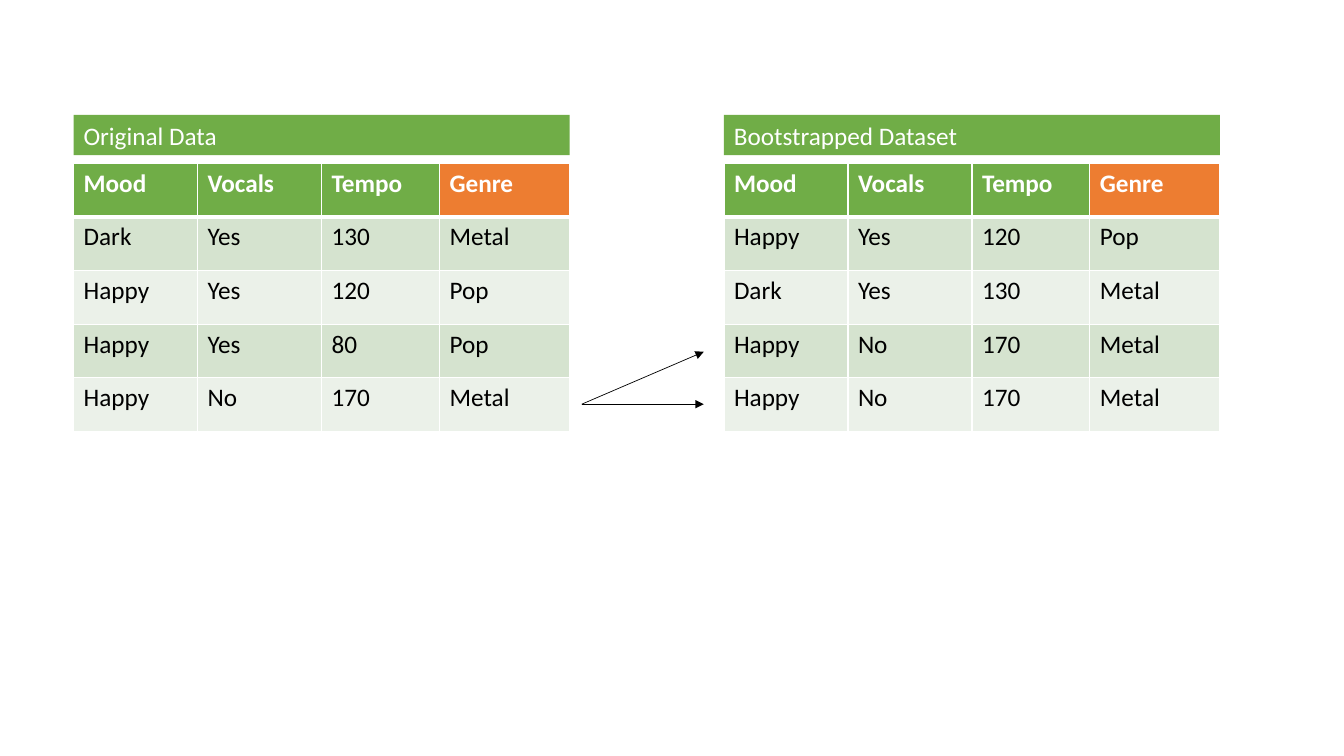
from dataclasses import dataclass

from lxml.etree import SubElement
from pptx import Presentation
from pptx.dml.color import RGBColor as RGB
from pptx.enum.shapes import MSO_CONNECTOR as Connector, MSO_SHAPE as Shape
from pptx.enum.text import MSO_ANCHOR as Anchor, MSO_AUTO_SIZE as AutoSize, PP_ALIGN as Align
from pptx.oxml import parse_xml
from pptx.oxml.ns import nsdecls, qn
from pptx.util import Inches, Pt


@dataclass(frozen=True)
class Theme:
    font: str = "Calibri"
    text_size: int = 18
    feature: str = "70AD47"
    target: str = "ED7D31"
    bands: tuple = ("D5E3CF", "EBF1E9")
    white: str = "FFFFFF"
    black: str = "000000"
    border: float = 1
    header_border: float = 3
    arrow: float = 0.5


theme = Theme()


def style_text(paragraph, color, bold=False):
    paragraph.alignment = Align.LEFT
    font = paragraph.font
    font.name, font.size, font.bold = theme.font, Pt(theme.text_size), bold
    font.color.rgb = RGB.from_string(color)


def set_borders(cell, top, bottom):
    widths = {"lnL": theme.border, "lnR": theme.border, "lnT": top, "lnB": bottom}
    properties = cell._tc.get_or_add_tcPr()
    for position, (side, width) in enumerate(widths.items()):
        properties.insert(position, parse_xml(
            f'<a:{side} {nsdecls("a")} w="{Pt(width)}"><a:solidFill>'
            f'<a:srgbClr val="{theme.white}"/></a:solidFill></a:{side}>'))


prs = Presentation()
prs.slide_width, prs.slide_height = Inches(13.33), Inches(7.5)
slide = prs.slides.add_slide(prs.slide_layouts[6])

columns = {"Mood": 1.23, "Vocals": 1.23, "Tempo": 1.17, "Genre": 1.29}
dataset_width = sum(columns.values())
row_height = 0.532
table_top = 1.62

datasets = [
    ("Original Data", 0.73, [
        ("Dark", "Yes", "130", "Metal"),
        ("Happy", "Yes", "120", "Pop"),
        ("Happy", "Yes", "80", "Pop"),
        ("Happy", "No", "170", "Metal"),
    ]),
    ("Bootstrapped Dataset", 7.18, [
        ("Happy", "Yes", "120", "Pop"),
        ("Dark", "Yes", "130", "Metal"),
        ("Happy", "No", "170", "Metal"),
        ("Happy", "No", "170", "Metal"),
    ]),
]

for caption, left, songs in datasets:
    # Dataset table
    rows = [tuple(columns), *songs]
    table = slide.shapes.add_table(
        len(rows), len(columns), Inches(left), Inches(table_top),
        Inches(dataset_width), Inches(row_height * len(rows))).table
    for column, width in zip(table.columns, columns.values()):
        column.width = Inches(width)
    for r, values in enumerate(rows):
        table.rows[r].height = Inches(row_height)
        for c, value in enumerate(values):
            cell = table.cell(r, c)
            cell.text = value
            is_header = r == 0
            if is_header:
                fill = theme.target if value == "Genre" else theme.feature
            else:
                fill = theme.bands[(r - 1) % 2]
            cell.fill.solid()
            cell.fill.fore_color.rgb = RGB.from_string(fill)
            style_text(cell.text_frame.paragraphs[0],
                       theme.white if is_header else theme.black, is_header)
            set_borders(cell,
                        top=theme.header_border if r == 1 else theme.border,
                        bottom=theme.header_border if is_header else theme.border)

    # Caption bar above the table
    bar = slide.shapes.add_shape(Shape.RECTANGLE, Inches(left), Inches(1.14),
                                 Inches(dataset_width), Inches(0.4))
    bar.shadow.inherit = False
    bar.fill.solid()
    bar.fill.fore_color.rgb = RGB.from_string(theme.feature)
    bar.line.fill.background()
    frame = bar.text_frame
    frame.word_wrap = True
    frame.auto_size = AutoSize.SHAPE_TO_FIT_TEXT
    frame.vertical_anchor = Anchor.TOP
    frame.text = caption
    style_text(frame.paragraphs[0], theme.white)

# Arrows from the last song to the two rows drawn from it
sampled_y = 4.01
for drawn_y in (3.49, sampled_y):
    arrow = slide.shapes.add_connector(Connector.STRAIGHT, Inches(5.77), Inches(sampled_y),
                                       Inches(6.98), Inches(drawn_y))
    arrow.line.color.rgb = RGB.from_string(theme.black)
    arrow.line.width = Pt(theme.arrow)
    SubElement(arrow.get_or_add_ln(), qn("a:tailEnd"), type="triangle")
    SubElement(arrow._element.spPr, qn("a:effectLst"))

prs.save("out.pptx")
